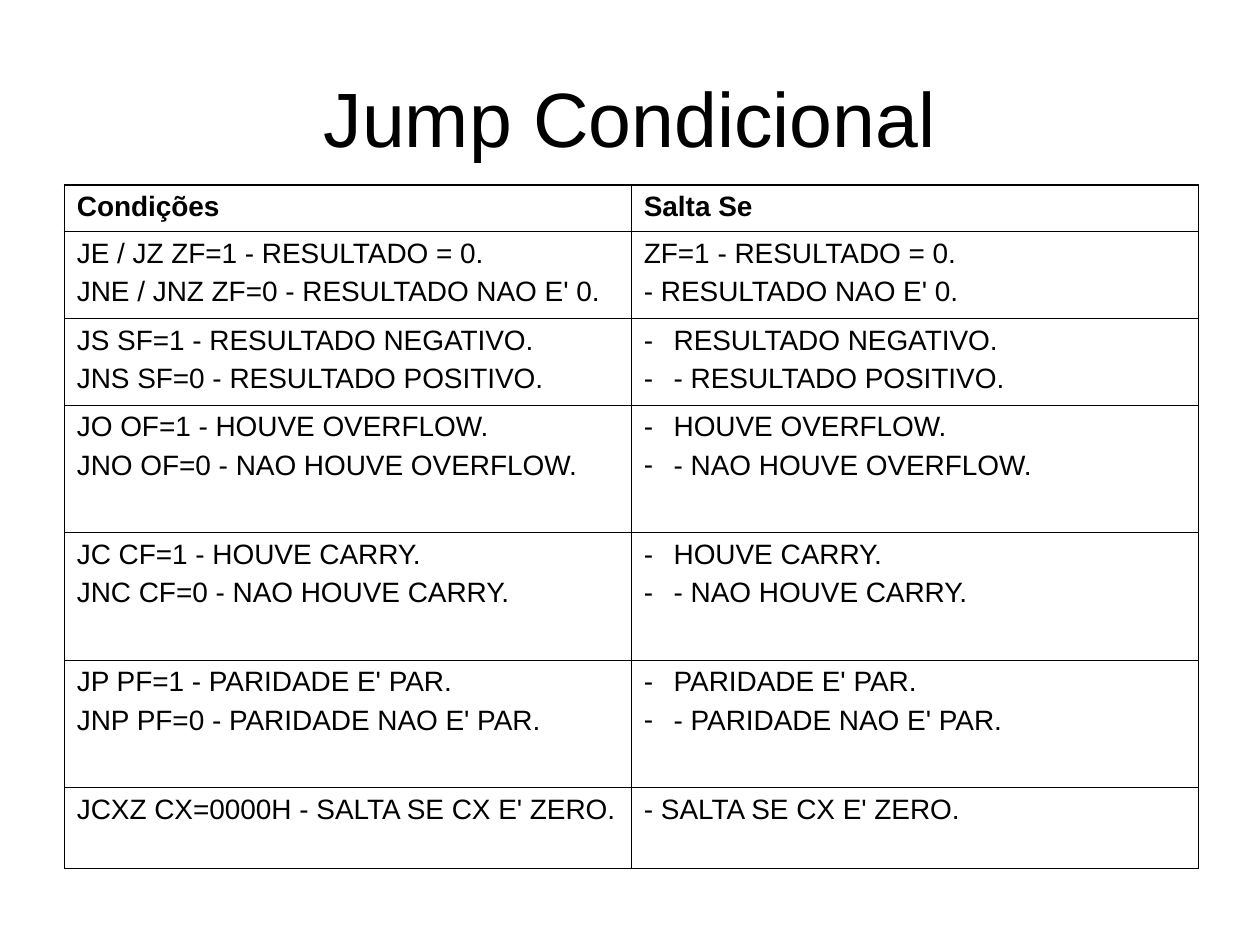
import pptx
import pptx.dml.color
import pptx.enum.text
import pptx.oxml.ns
import pptx.util
from lxml import etree

Cm = pptx.util.Cm
Pt = pptx.util.Pt
BLACK = pptx.dml.color.RGBColor(0, 0, 0)

TITLE = "Jump Condicional"
ROWS = [
    (0.94, ["Condições"], ["Salta Se"]),
    (1.75, ["JE / JZ ZF=1 - RESULTADO = 0.", "JNE / JNZ ZF=0 - RESULTADO NAO E' 0."],
     ["ZF=1 - RESULTADO = 0.", "- RESULTADO NAO E' 0."]),
    (1.75, ["JS SF=1 - RESULTADO NEGATIVO.", "JNS SF=0 - RESULTADO POSITIVO."],
     ["RESULTADO NEGATIVO.", "- RESULTADO POSITIVO."]),
    (2.57, ["JO OF=1 - HOUVE OVERFLOW.", "JNO OF=0 - NAO HOUVE OVERFLOW."],
     ["HOUVE OVERFLOW.", "- NAO HOUVE OVERFLOW."]),
    (2.57, ["JC CF=1 - HOUVE CARRY.", "JNC CF=0 - NAO HOUVE CARRY."],
     ["HOUVE CARRY.", "- NAO HOUVE CARRY."]),
    (2.57, ["JP PF=1 - PARIDADE E' PAR.", "JNP PF=0 - PARIDADE NAO E' PAR."],
     ["PARIDADE E' PAR.", "- PARIDADE NAO E' PAR."]),
    (1.63, ["JCXZ CX=0000H - SALTA SE CX E' ZERO."], ["- SALTA SE CX E' ZERO."]),
]
BULLETED_ROWS = range(2, 6)
COLUMN_WIDTH = Cm(11.43)
THIN, THICK = Pt(0.45), Pt(1.08)

TITLE_BOX = {"left": Cm(1.27), "top": Cm(0.76), "width": Cm(22.86), "height": Cm(3.18)}
TITLE_FONT = {"name": "Arial", "size": Pt(44), "bold": False}
CELL_FONT = {"name": "Arial", "size": Pt(16)}
CELL_MARGINS = {"margin_left": Cm(0.25), "margin_right": Cm(0.25),
                "margin_top": Cm(0.13), "margin_bottom": Cm(0.13)}
TABLE_FLAGS = {"first_row": False, "horz_banding": False}


def apply(target, values):
    for name, value in values.items():
        setattr(target, name, value)


def add_element(parent, tag, **attributes):
    return etree.SubElement(parent, pptx.oxml.ns.qn(tag), attributes)


def format_font(font, values):
    apply(font, values)
    font.color.rgb = BLACK


def add_dash(paragraph):
    properties = paragraph._p.get_or_add_pPr()
    properties.set("marL", str(Cm(0.6)))
    properties.set("indent", str(-Cm(0.6)))
    color = add_element(properties, "a:buClr")
    add_element(color, "a:srgbClr", val=str(BLACK))
    add_element(properties, "a:buFont", typeface="Arial")
    add_element(properties, "a:buChar", char="-")


def set_borders(cell, widths):
    properties = cell._tc.get_or_add_tcPr()
    for side, width in zip("LRTB", widths):
        line = add_element(properties, f"a:ln{side}", w=str(width))
        fill = add_element(line, "a:solidFill")
        add_element(fill, "a:srgbClr", val=str(BLACK))


def fill_cell(cell, lines, bold, dashed):
    apply(cell, CELL_MARGINS)
    cell.text = "\n".join(lines)
    for paragraph in cell.text_frame.paragraphs:
        paragraph.space_before = Pt(4)
        format_font(paragraph.runs[0].font, CELL_FONT | {"bold": bold})
        if dashed:
            add_dash(paragraph)


def add_title(slide):
    title = slide.shapes.title
    apply(title, TITLE_BOX)
    title.text_frame.text = TITLE
    title.text_frame.vertical_anchor = pptx.enum.text.MSO_ANCHOR.MIDDLE
    paragraph = title.text_frame.paragraphs[0]
    paragraph.alignment = pptx.enum.text.PP_ALIGN.CENTER
    format_font(paragraph.runs[0].font, TITLE_FONT)


def add_jump_table(slide):
    height = Cm(sum(row[0] for row in ROWS))
    table = slide.shapes.add_table(
        len(ROWS), 2, Cm(1.3), Cm(3.73), 2 * COLUMN_WIDTH, height).table
    apply(table, TABLE_FLAGS)
    last_row = len(ROWS) - 1
    for row_index, (row_height, *cells) in enumerate(ROWS):
        table.rows[row_index].height = Cm(row_height)
        for column_index, lines in enumerate(cells):
            cell = table.cell(row_index, column_index)
            fill_cell(cell, lines, row_index == 0,
                      column_index == 1 and row_index in BULLETED_ROWS)
            outer = (column_index == 0, column_index == 1,
                     row_index == 0, row_index == last_row)
            set_borders(cell, [THICK if edge else THIN for edge in outer])
            cell.fill.background()


def main():
    presentation = pptx.Presentation()
    presentation.slide_width = Cm(25.4)
    presentation.slide_height = Cm(19.05)
    slide = presentation.slides.add_slide(presentation.slide_layouts[5])
    add_title(slide)
    add_jump_table(slide)
    presentation.save("out.pptx")


if __name__ == "__main__":
    main()
